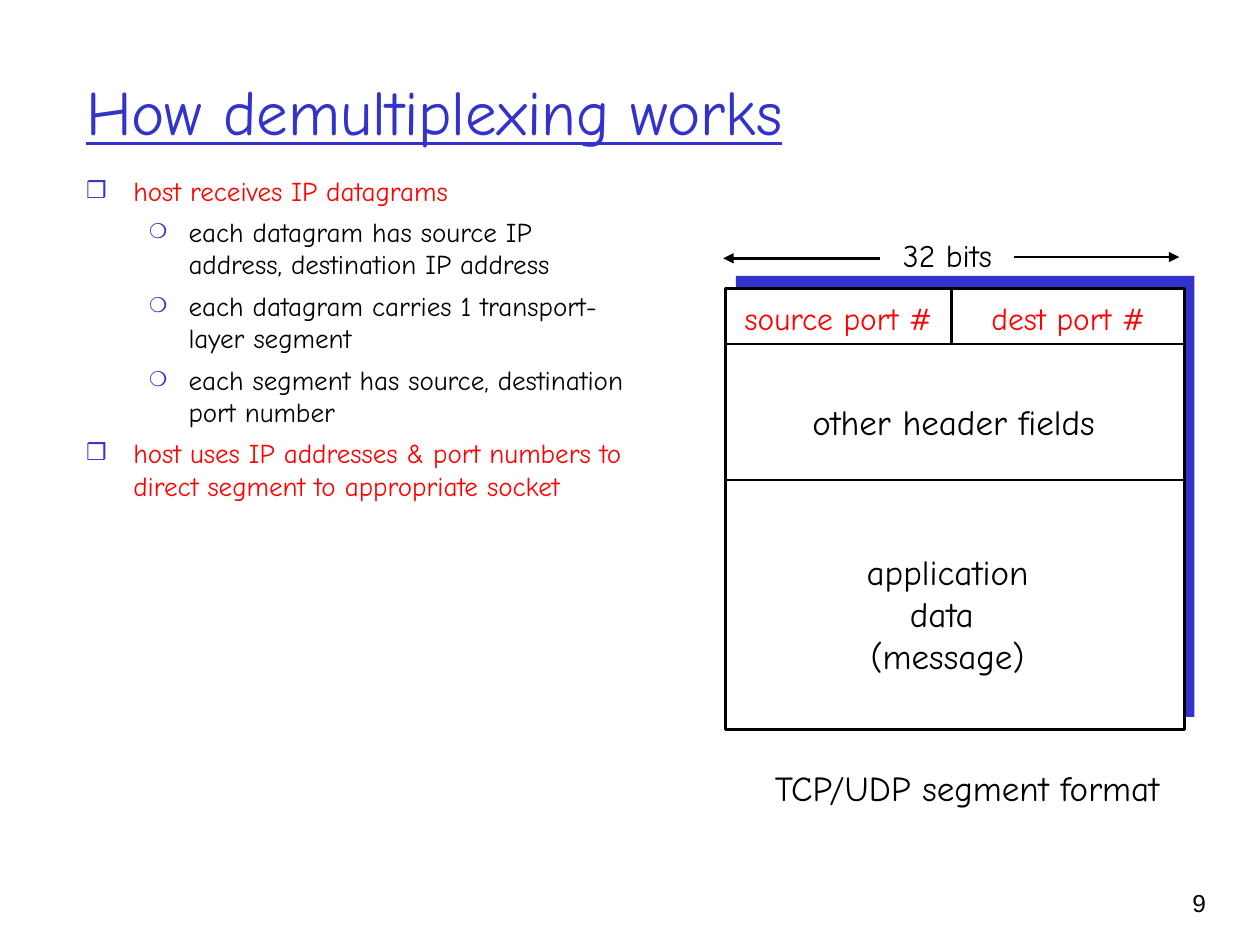
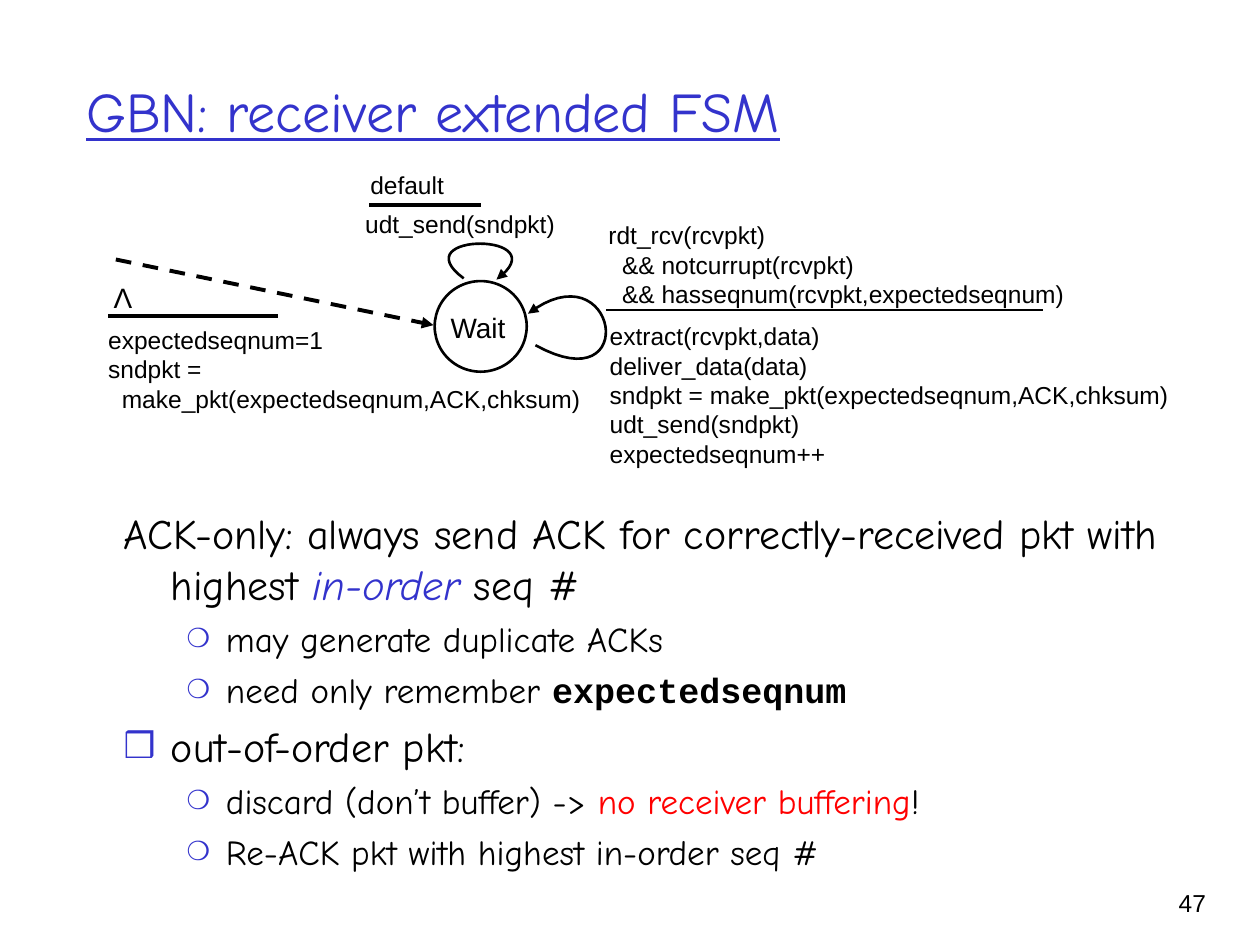
import pptx
import pptx.util
import pptx.dml.color
import pptx.enum.dml
import pptx.enum.shapes
import pptx.enum.text
import pptx.oxml
import pptx.oxml.ns

Pt = pptx.util.Pt
ALIGN = pptx.enum.text.PP_ALIGN
ANCHOR = pptx.enum.text.MSO_ANCHOR
SHAPE = pptx.enum.shapes.MSO_SHAPE

# Shared look
BLUE, RED, BLACK, WHITE = "3333CC", "FF0000", "000000", "FFFFFF"
HAND, SANS, MONO = "Comic Neue", "Arial", "Courier New"
THIN, THICK = 1.5, 2.24
TITLE_BOX = (42, 18, 612, 90)
NUMBER_BOX = (643, 504, 53.3, 36)
# One entry per list level: left margin, hanging indent, bullet, bullet size
LEVELS = [(27, -27, "\u2752", 85), (58.5, -22.5, "\u274d", 75)]


def rgb(value):
    return pptx.dml.color.RGBColor.from_string(value)


def set_values(obj, values):
    for name, value in values.items():
        setattr(obj, name, value)


def add_xml(parent, tag, **attributes):
    child = pptx.oxml.ns.qn("a:" + tag)
    el = parent.makeelement(child, attributes)
    parent.append(el)
    return el


def place(sp, box):
    set_values(sp, dict(zip(("left", "top", "width", "height"), map(Pt, box))))


# Text
def add_run(p, text, size, font=HAND, color=BLACK, **values):
    r = p.add_run()
    r.text = text
    set_values(r.font, {"size": Pt(size), "name": font, **values})
    r.font.color.rgb = rgb(color)


def set_frame(tf, wrap=True, anchor=ANCHOR.TOP):
    set_values(tf, {
        "word_wrap": wrap, "vertical_anchor": anchor,
        "auto_size": pptx.enum.text.MSO_AUTO_SIZE.NONE,
        "margin_left": Pt(7.2), "margin_right": Pt(7.2),
        "margin_top": Pt(3.6), "margin_bottom": Pt(3.6)})


def add_text(s, box, lines, size, font=HAND, color=BLACK,
             align=ALIGN.LEFT, wrap=True):
    """Lines are strings; a (text, indent) pair sets a line in."""
    sp = s.shapes.add_textbox(*map(Pt, box))
    tf = sp.text_frame
    set_frame(tf, wrap)
    for i, line in enumerate(lines):
        text, indent = line if isinstance(line, tuple) else (line, 0)
        p = tf.paragraphs[0] if i == 0 else tf.add_paragraph()
        p.alignment = align
        if indent:
            p._p.get_or_add_pPr().set("marL", str(Pt(indent)))
        add_run(p, text, size, font, color)


def add_title(s, text, size):
    sp = s.shapes.title
    place(sp, TITLE_BOX)
    set_frame(sp.text_frame, anchor=ANCHOR.MIDDLE)
    p = sp.text_frame.paragraphs[0]
    p.alignment = ALIGN.LEFT
    add_run(p, text, size, color=BLUE, underline=True)


def add_list(s, box, items, sizes, spaces):
    """Items are (level, has bullet, [(text, run format), ...])."""
    sp = s.placeholders[1]
    place(sp, box)
    tf = sp.text_frame
    set_frame(tf)
    for i, (level, bulleted, runs) in enumerate(items):
        p = tf.paragraphs[0] if i == 0 else tf.add_paragraph()
        set_values(p, {"level": level, "alignment": ALIGN.LEFT,
                       "space_before": Pt(spaces[level])})
        margin, hang, char, percent = LEVELS[level]
        pPr = p._p.get_or_add_pPr()
        pPr.set("marL", str(Pt(margin)))
        pPr.set("indent", str(Pt(hang)))
        if bulleted:
            add_xml(add_xml(pPr, "buClr"), "srgbClr", val=BLUE)
            add_xml(pPr, "buSzPct", val=str(percent * 1000))
            add_xml(pPr, "buChar", char=char)
        else:
            add_xml(pPr, "buNone")
        for text, values in runs:
            add_run(p, text, sizes[level], **values)


# Shapes and lines
def add_block(s, kind, box, fill, line=None):
    sp = s.shapes.add_shape(kind, *map(Pt, box))
    sp.shadow.inherit = False
    sp.fill.solid()
    sp.fill.fore_color.rgb = rgb(fill)
    if line:
        set_line(sp, THIN, line)
    else:
        sp.line.fill.background()


def set_line(sp, width, color=BLACK, arrow=False, dash=None):
    sp.line.color.rgb = rgb(color)
    sp.line.width = Pt(width)
    if dash:
        sp.line.dash_style = dash
    if arrow:
        add_xml(sp.line._get_or_add_ln(), "tailEnd", type="triangle")


def add_line(s, start, end, width=THIN, **style):
    sp = s.shapes.add_connector(pptx.enum.shapes.MSO_CONNECTOR.STRAIGHT,
                                *map(Pt, start + end))
    set_line(sp, width, **style)
    add_xml(sp._element.spPr, "effectLst")


def add_loop(s, a, b, c, d, steps=32):
    """An arrow along the cubic curve from a to d, with controls b and c."""
    points = []
    for i in range(steps + 1):
        t = i / steps
        u = 1 - t
        weights = (u ** 3, 3 * u * u * t, 3 * u * t * t, t ** 3)
        points.append(tuple(
            Pt(sum(w * q[axis] for w, q in zip(weights, (a, b, c, d))))
            for axis in (0, 1)))
    builder = s.shapes.build_freeform(*points[0])
    builder.add_line_segments(points[1:], close=False)
    sp = builder.convert_to_shape()
    sp.shadow.inherit = False
    sp.fill.background()
    set_line(sp, THIN, arrow=True)


# Regions
def segment_diagram(s, box):
    left, top, width, height = box

    def at(x, y, *size):
        return (left + x, top + y) + size

    add_block(s, SHAPE.RECTANGLE, at(5.8, -7.2, width, height), BLUE)
    add_block(s, SHAPE.RECTANGLE, box, WHITE, BLACK)

    # Field borders
    ports, header, middle = 31.7, 109.4, 128.9
    for y in (ports, header):
        add_line(s, at(0, y), at(width, y))
    add_line(s, at(middle, ports), at(middle, 0))

    # Width marker
    add_line(s, at(165, -18), at(259.2, -18), arrow=True)
    add_line(s, at(88, -17.3), at(-1.4, -17.3), arrow=True)

    # Labels
    for label_box, lines, size, color in [
        ((3.6, 2.2, 121.7, 28.8), ["source port #"], 18, RED),
        ((144.7, 2.2, 102.2, 28.8), ["dest port #"], 18, RED),
        ((94.3, -33.8, 64.8, 28.8), ["32 bits"], 18, BLACK),
        ((42.5, 60.5, 175.7, 31.7), ["other header fields"], 20, BLACK),
        ((73.5, 146.1, 106.6, 79.2),
         ["application", "data ", "(message)"], 20, BLACK),
        ((19.5, 269.3, 236.9, 31.7), ["TCP/UDP segment format"], 20, BLACK),
    ]:
        add_text(s, at(*label_box), lines, size, color=color,
                 align=ALIGN.CENTER, wrap=False)


def receiver_fsm(s, left, top):
    def at(x, y, *size):
        return (left + x, top + y) + size

    # State and its transitions
    add_block(s, SHAPE.OVAL, at(194.4, 70.6, 52.6, 51.8), WHITE, BLACK)
    add_text(s, at(187.9, 84.2, 62.6, 18.7), ["Wait"], 16, SANS,
             align=ALIGN.CENTER)
    add_line(s, at(12.2, 58.3), at(193.7, 95.8), THICK, arrow=True,
             dash=pptx.enum.dml.MSO_LINE.DASH)
    for curve in [
        ((252, 107.3), (313.2, 141.1), (298.8, 50.4), (247.7, 89.3)),
        ((211, 69.1), (175, 42.5), (266.4, 42.5), (229.7, 69.8)),
    ]:
        add_loop(s, *(at(*q) for q in curve))

    # Rules between event and action
    for x, y, end, width in [(157, 27.4, 221, THICK), (7.9, 90.7, 105.1, THICK),
                             (292.3, 87.1, 542.2, THIN)]:
        add_line(s, at(x, y), at(end, y), width)

    # Events and actions
    indent = 7.8
    for box, lines in [
        ((150.5, 3.6, 56.9, 19.4), ["default"]),
        ((147.6, 25.9, 127.4, 24.5), ["udt_send(sndpkt)"]),
        ((286.6, 32.4, 280.8, 44.6),
         ["rdt_rcv(rcvpkt)", ("&& notcurrupt(rcvpkt)", indent),
          ("&& hasseqnum(rcvpkt,expectedseqnum)", indent)]),
        ((287.3, 90, 339.8, 67.7),
         ["extract(rcvpkt,data)", "deliver_data(data)",
          "sndpkt = make_pkt(expectedseqnum,ACK,chksum)",
          "udt_send(sndpkt)", "expectedseqnum++"]),
        ((0.7, 92.2, 286.6, 77),
         ["expectedseqnum=1", "sndpkt =",
          ("make_pkt(expectedseqnum,ACK,chksum)", indent)]),
    ]:
        add_text(s, at(*box), lines, 14, SANS)
    add_text(s, at(3.6, 67, 25.2, 26.6), ["\u039b"], 16, SANS,
             align=ALIGN.CENTER, wrap=False)


# Slides
def new_slide(prs, title, size, number):
    s = prs.slides.add_slide(prs.slide_layouts[1])
    s.background.fill.solid()
    s.background.fill.fore_color.rgb = rgb(WHITE)
    add_title(s, title, size)
    add_text(s, NUMBER_BOX, [number], 14, SANS, align=ALIGN.RIGHT)
    return s


def demultiplexing_slide(prs):
    s = new_slide(prs, "How demultiplexing works", 36, "9")
    red = {"color": RED}
    add_list(s, (42, 95.8, 324, 219.6), [
        (0, True, [("host receives IP datagrams", red)]),
        (1, True, [("each datagram has source IP address, "
                    "destination IP address", {})]),
        (1, True, [("each datagram carries 1 transport-layer segment", {})]),
        (1, True, [("each segment has source, destination port number", {})]),
        (0, True, [("host uses IP addresses & port numbers to direct "
                    "segment to appropriate socket", red)]),
    ], sizes=(15.5, 15.5), spaces=(5, 5))
    segment_diagram(s, (414.7, 164.9, 262, 252))


def receiver_slide(prs):
    s = new_slide(prs, "GBN: receiver extended FSM", 32, "47")
    add_list(s, (63.4, 286.6, 641.5, 224.6), [
        (0, False, [("ACK-only: always send ACK for correctly-received "
                     "pkt with highest ", {}),
                    ("in-order", {"color": BLUE, "italic": True}),
                    (" seq #", {})]),
        (1, True, [("may generate duplicate ACKs", {})]),
        (1, True, [("need only remember ", {}),
                   ("expectedseqnum", {"font": MONO, "bold": True})]),
        (0, True, [("out-of-order pkt:", {})]),
        (1, True, [("discard (don\u2019t buffer) -> ", {}),
                   ("no receiver buffering", {"color": RED}), ("!", {})]),
        (1, True, [("Re-ACK pkt with highest in-order seq #", {})]),
    ], sizes=(24, 20), spaces=(6, 5))
    receiver_fsm(s, 54, 90)


prs = pptx.Presentation()
set_values(prs, {"slide_width": Pt(720), "slide_height": Pt(540)})
demultiplexing_slide(prs)
receiver_slide(prs)
prs.save("out.pptx")
